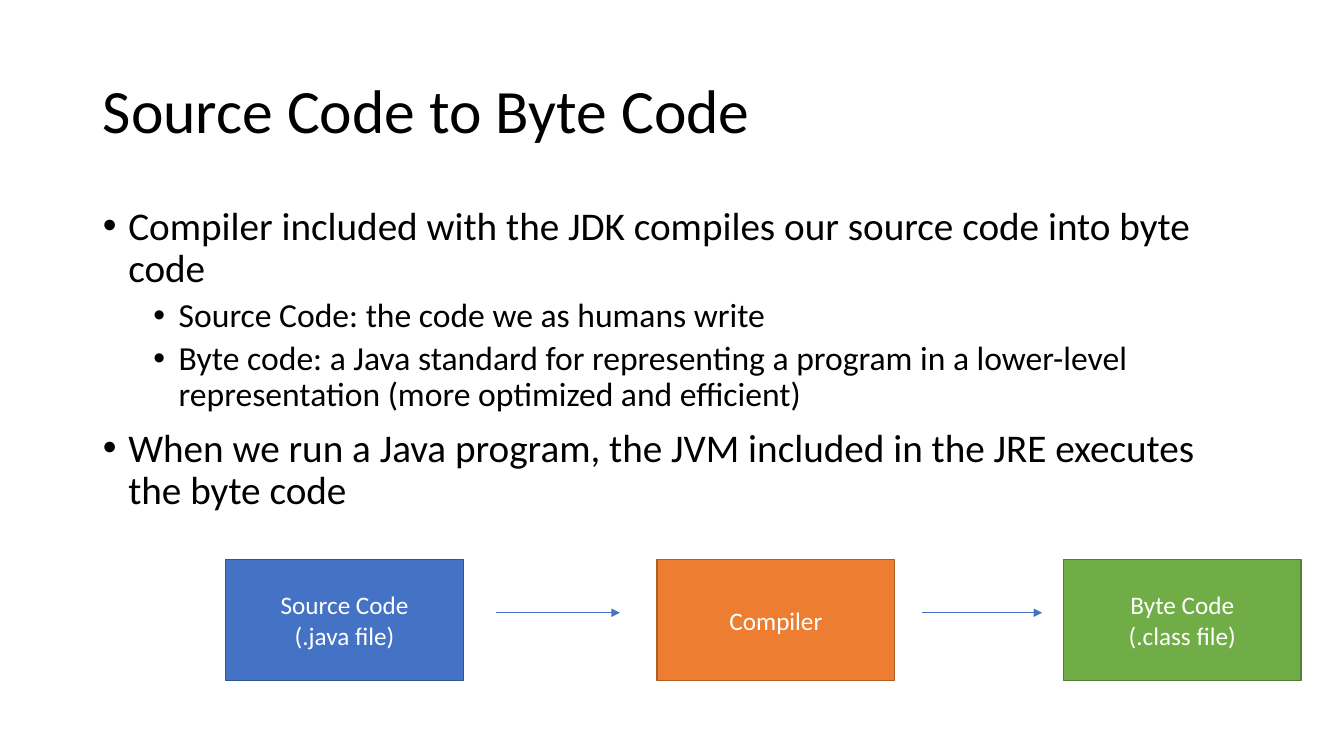
"""Build the slide on compiling Java source code to byte code."""
from lxml import etree
from pptx import Presentation
from pptx import util as u
from pptx.dml.color import RGBColor
from pptx.enum import shapes, text
from pptx.oxml import ns

BLACK = RGBColor(0x00, 0x00, 0x00)
WHITE = RGBColor(0xFF, 0xFF, 0xFF)
BLUE = RGBColor(0x44, 0x72, 0xC4)
DARK_BLUE = RGBColor(0x32, 0x54, 0x91)
ORANGE = RGBColor(0xED, 0x7D, 0x31)
DARK_ORANGE = RGBColor(0xAF, 0x5C, 0x24)
GREEN = RGBColor(0x70, 0xAD, 0x47)
DARK_GREEN = RGBColor(0x53, 0x80, 0x35)


def place(holder, left, top, width, height, anchor):
    bounds = dict(left=left, top=top, width=width, height=height)
    for side, length in bounds.items():
        setattr(holder, side, u.Cm(length))
    frame = {"word_wrap": True, "auto_size": text.MSO_AUTO_SIZE.NONE,
             "vertical_anchor": anchor}
    for name, value in frame.items():
        setattr(holder.text_frame, name, value)


def style(paragraph, size, color, **layout):
    for name, value in layout.items():
        setattr(paragraph, name, value)
    for name, value in {"name": "Calibri", "size": u.Pt(size)}.items():
        setattr(paragraph.font, name, value)
    paragraph.font.color.rgb = color


deck = Presentation()
deck.slide_width = u.Cm(33.87)
deck.slide_height = u.Cm(19.05)
slide = deck.slides.add_slide(deck.slide_layouts[1])

heading = slide.shapes.title
place(heading, 2.34, 1.02, 29.21, 3.68, text.MSO_ANCHOR.MIDDLE)
heading.text_frame.text = "Source Code to Byte Code"
style(heading.text_frame.paragraphs[0], 44, BLACK,
      alignment=text.PP_ALIGN.LEFT, line_spacing=0.9)

points = [
    (0, "Compiler included with the JDK compiles our source code into byte code"),
    (1, "Source Code: the code we as humans write"),
    (1, "Byte code: a Java standard for representing a program in a lower-level "
        "representation (more optimized and efficient)"),
    (0, "When we run a Java program, the JVM included in the JRE executes "
        "the byte code"),
]
explanation = slide.placeholders[1]
place(explanation, 2.34, 5.08, 29.21, 12.09, text.MSO_ANCHOR.TOP)
explanation.text_frame.text = "\n".join(wording for _, wording in points)
for point, (level, _) in zip(explanation.text_frame.paragraphs, points):
    style(point, 28 - 4 * level, BLACK, level=level, line_spacing=0.9,
          space_before=u.Pt(10 - 5 * level))
    indents = point._p.get_or_add_pPr()
    indents.set("marL", str(u.Cm(0.64 + 1.27 * level)))
    indents.set("indent", str(-u.Cm(0.64)))
    etree.SubElement(indents, ns.qn("a:buFont"), typeface="Arial")
    etree.SubElement(indents, ns.qn("a:buChar"), char="•")

stages = [
    (5.69, "Source Code\n(.java file)", BLUE, DARK_BLUE),
    (16.56, "Compiler", ORANGE, DARK_ORANGE),
    (26.8, "Byte Code\n(.class file)", GREEN, DARK_GREEN),
]
for left, label, fill, border in stages:
    stage = slide.shapes.add_shape(shapes.MSO_SHAPE.RECTANGLE, 0, 0, 0, 0)
    place(stage, left, 14.1, 5.99, 3.05, text.MSO_ANCHOR.MIDDLE)
    stage.shadow.inherit = False
    stage.fill.solid()
    stage.fill.fore_color.rgb = fill
    stage.line.color.rgb = border
    stage.line.width = u.Pt(1)
    stage.text_frame.text = label
    for row in stage.text_frame.paragraphs:
        style(row, 18, WHITE, alignment=text.PP_ALIGN.CENTER)

for start, end in [(12.5, 15.62), (23.24, 26.26)]:
    arrow = slide.shapes.add_connector(
        shapes.MSO_CONNECTOR.STRAIGHT,
        u.Cm(start), u.Cm(15.44), u.Cm(end), u.Cm(15.44))
    arrow.line.color.rgb = BLUE
    arrow.line.width = u.Pt(0.5)
    etree.SubElement(arrow.line._get_or_add_ln(), ns.qn("a:tailEnd"), type="triangle")
    etree.SubElement(arrow._element.spPr, ns.qn("a:effectLst"))

deck.save("out.pptx")
